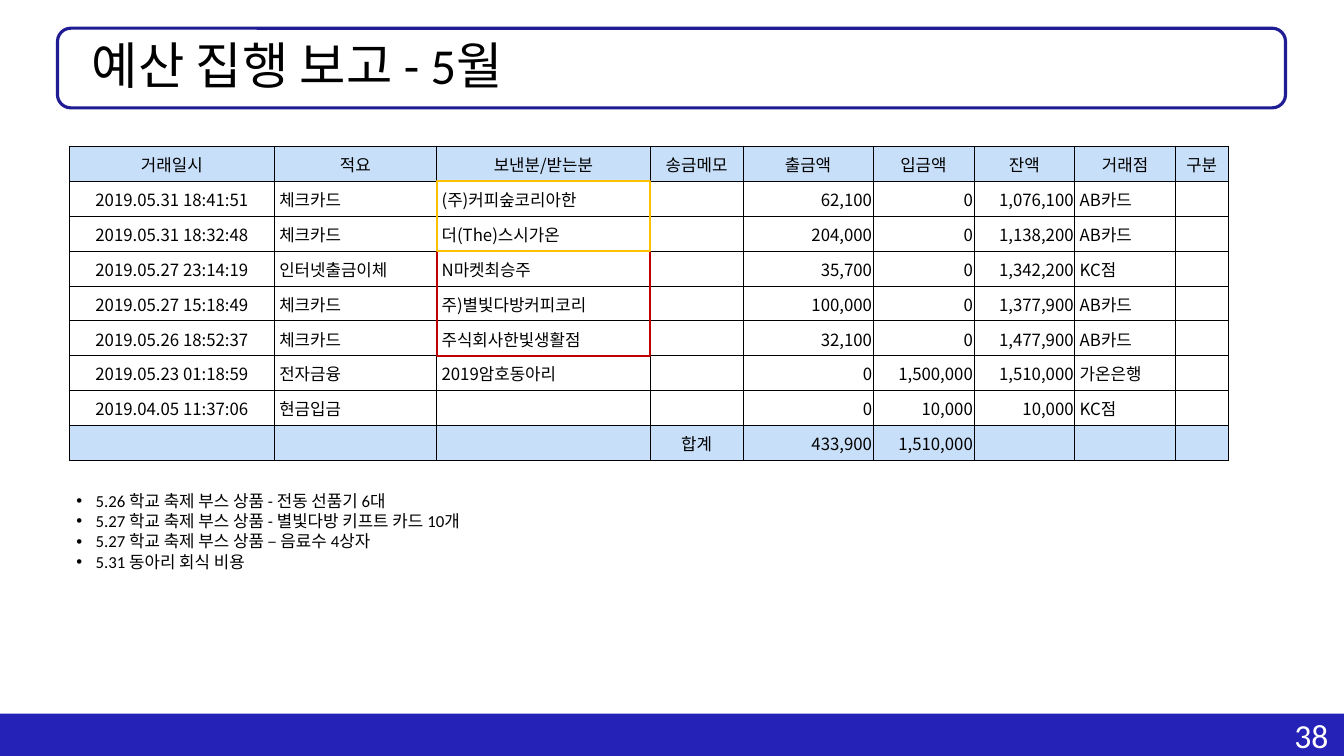
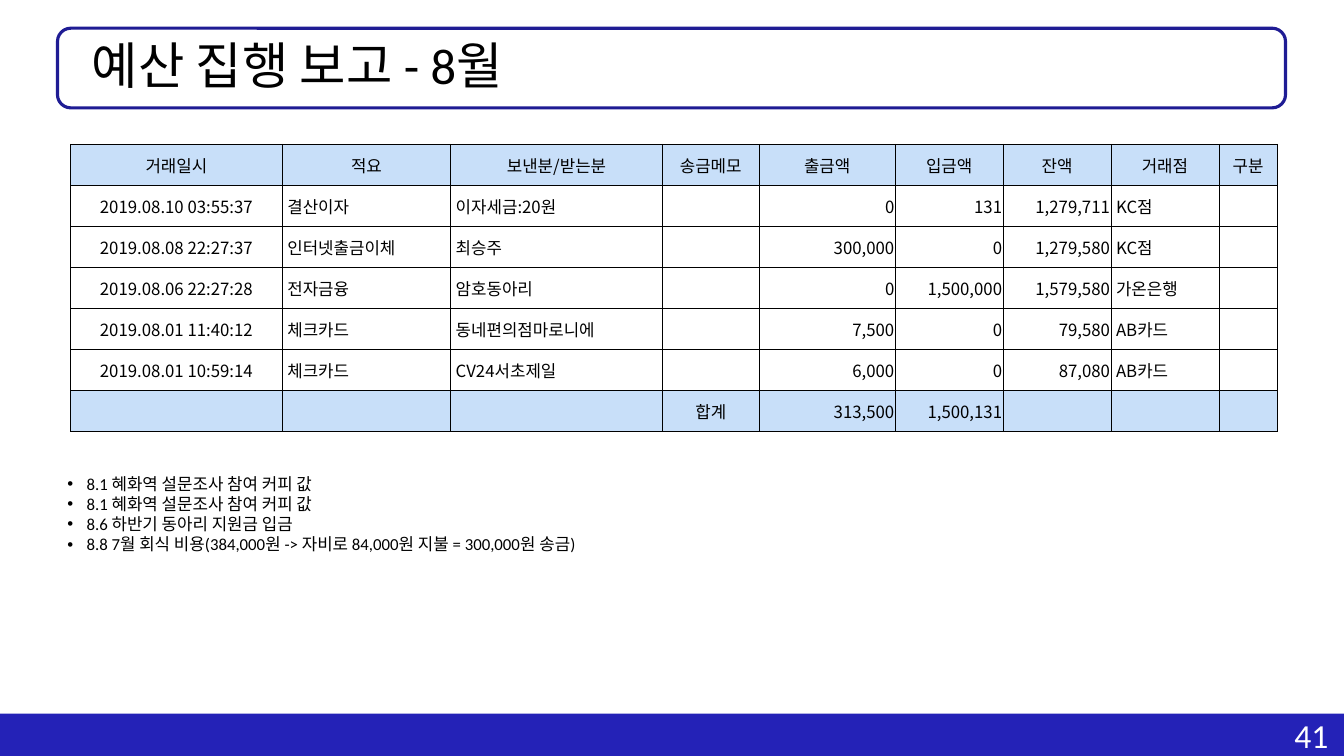
from dataclasses import dataclass
from typing import NamedTuple

from lxml.etree import SubElement
from pptx import Presentation
from pptx.dml.color import RGBColor
from pptx.enum.shapes import MSO_SHAPE
from pptx.enum.text import MSO_ANCHOR, MSO_AUTO_SIZE, PP_ALIGN
from pptx.oxml.ns import qn
from pptx.util import Inches, Pt


# Theme
@dataclass(frozen=True)
class Theme:
    band: RGBColor = RGBColor(0x24, 0x22, 0xB7)
    frame: RGBColor = RGBColor(0x1F, 0x1C, 0x94)
    header: RGBColor = RGBColor(0xC8, 0xDF, 0xF9)
    red: RGBColor = RGBColor(0xC0, 0x00, 0x00)
    amber: RGBColor = RGBColor(0xFF, 0xC0, 0x00)
    black: RGBColor = RGBColor(0x00, 0x00, 0x00)
    white: RGBColor = RGBColor(0xFF, 0xFF, 0xFF)
    font: str = "Calibri"
    table_font: str = "Noto Sans CJK KR"
    title_size: float = 36
    number_size: float = 24
    body_size: float = 12
    frame_line: float = 2.25
    mark_line: float = 1.5
    cell_line: float = 0.5


THEME = Theme()


class Box(NamedTuple):
    left: float
    top: float
    width: float
    height: float

    def emu(self) -> tuple:
        return tuple(Inches(v) for v in self)


class Mark(NamedTuple):
    first_row: int
    last_row: int
    color: RGBColor


class Entry(NamedTuple):
    time: str
    kind: str
    party: str
    paid_out: str
    paid_in: str
    balance: str
    branch: str

    def cells(self) -> list[str]:
        return [self.time, self.kind, self.party, "", self.paid_out,
                self.paid_in, self.balance, self.branch, ""]


@dataclass(frozen=True)
class Report:
    month: int
    number: int
    left: float
    top: float
    col_widths: tuple[float, ...]
    row_height: float
    entries: tuple[Entry, ...]
    totals: tuple[str, str]
    bullet_box: Box
    bullets: tuple[str, ...]
    marks: tuple[Mark, ...] = ()


HEADERS = ["거래일시", "적요", "보낸분/받는분", "송금메모", "출금액",
           "입금액", "잔액", "거래점", "구분"]
LEFT, CENTER, RIGHT = PP_ALIGN.LEFT, PP_ALIGN.CENTER, PP_ALIGN.RIGHT
COL_ALIGN = [CENTER, LEFT, LEFT, CENTER, RIGHT, RIGHT, RIGHT, LEFT, CENTER]
PARTY_COL = 2

# Content
REPORTS = (
    Report(
        month=5, number=38, left=0.69, top=1.45,
        col_widths=(2.03, 1.61, 2.12, 0.92, 1.29, 1, 1, 1, 0.52),
        row_height=3.12 / 9,
        entries=(
            Entry("2019.05.31 18:41:51", "체크카드", "(주)커피숲코리아한",
                  "62,100", "0", "1,076,100", "AB카드"),
            Entry("2019.05.31 18:32:48", "체크카드", "더(The)스시가온",
                  "204,000", "0", "1,138,200", "AB카드"),
            Entry("2019.05.27 23:14:19", "인터넷출금이체", "N마켓최승주",
                  "35,700", "0", "1,342,200", "KC점"),
            Entry("2019.05.27 15:18:49", "체크카드", "주)별빛다방커피코리",
                  "100,000", "0", "1,377,900", "AB카드"),
            Entry("2019.05.26 18:52:37", "체크카드", "주식회사한빛생활점",
                  "32,100", "0", "1,477,900", "AB카드"),
            Entry("2019.05.23 01:18:59", "전자금융", "2019암호동아리",
                  "0", "1,500,000", "1,510,000", "가온은행"),
            Entry("2019.04.05 11:37:06", "현금입금", "",
                  "0", "10,000", "10,000", "KC점"),
        ),
        totals=("433,900", "1,510,000"),
        bullet_box=Box(0.66, 4.82, 4.87, 0.91),
        bullets=("5.26 학교 축제 부스 상품 - 전동 선품기 6대",
                 "5.27 학교 축제 부스 상품 - 별빛다방 키프트 카드 10개",
                 "5.27 학교 축제 부스 상품 – 음료수 4상자",
                 "5.31 동아리 회식 비용"),
        marks=(Mark(3, 5, THEME.red), Mark(1, 2, THEME.amber)),
    ),
    Report(
        month=8, number=41, left=0.7, top=1.43,
        col_widths=(2.1, 1.67, 2.1, 0.96, 1.35, 1.07, 1.07, 1.07, 0.58),
        row_height=2.85 / 7,
        entries=(
            Entry("2019.08.10 03:55:37", "결산이자", "이자세금:20원",
                  "0", "131", "1,279,711", "KC점"),
            Entry("2019.08.08 22:27:37", "인터넷출금이체", "최승주",
                  "300,000", "0", "1,279,580", "KC점"),
            Entry("2019.08.06 22:27:28", "전자금융", "암호동아리",
                  "0", "1,500,000", "1,579,580", "가온은행"),
            Entry("2019.08.01 11:40:12", "체크카드", "동네편의점마로니에",
                  "7,500", "0", "79,580", "AB카드"),
            Entry("2019.08.01 10:59:14", "체크카드", "CV24서초제일",
                  "6,000", "0", "87,080", "AB카드"),
        ),
        totals=("313,500", "1,500,131"),
        bullet_box=Box(0.57, 4.65, 5.74, 0.91),
        bullets=("8.1 혜화역 설문조사 참여 커피 값",
                 "8.1 혜화역 설문조사 참여 커피 값",
                 "8.6 하반기 동아리 지원금 입금",
                 "8.8 7월 회식 비용(384,000원 -> 자비로 84,000원 지불 = 300,000원 송금)"),
    ),
)


# Drawing helpers
def set_font(p, size: float, color: RGBColor = THEME.black, name: str = THEME.font) -> None:
    p.font.size, p.font.name = Pt(size), name
    p.font.color.rgb = color


def add_outline(slide, shape: MSO_SHAPE, box: Box, color: RGBColor, width: float) -> None:
    sp = slide.shapes.add_shape(shape, *box.emu())
    sp.shadow.inherit = False
    sp.fill.background()
    sp.line.color.rgb, sp.line.width = color, Pt(width)


def add_frame(slide, report: Report) -> None:
    """Bottom band, page number, title frame and title."""
    band = slide.shapes.add_shape(MSO_SHAPE.RECTANGLE, *Box(0, 7.08, 13.33, 0.42).emu())
    band.shadow.inherit = False
    band.fill.solid()
    band.fill.fore_color.rgb = THEME.band
    band.line.fill.background()

    tf = slide.shapes.add_textbox(*Box(12.74, 7.04, 0.6, 0.5).emu()).text_frame
    tf.word_wrap = False
    tf.text = str(report.number)
    set_font(tf.paragraphs[0], THEME.number_size, THEME.white)

    add_outline(slide, MSO_SHAPE.ROUNDED_RECTANGLE, Box(0.57, 0.28, 12.18, 0.79),
                THEME.frame, THEME.frame_line)

    title = slide.shapes.title
    title.left, title.top, title.width, title.height = Box(0.81, 0.28, 11.5, 0.8).emu()
    tf = title.text_frame
    tf.auto_size, tf.vertical_anchor = MSO_AUTO_SIZE.NONE, MSO_ANCHOR.MIDDLE
    tf.text = f"예산 집행 보고 - {report.month}월"
    p = tf.paragraphs[0]
    p.alignment, p.line_spacing = LEFT, 0.9
    set_font(p, THEME.title_size)


def add_borders(cell) -> None:
    tc_pr = cell._tc.get_or_add_tcPr()
    for side in ("a:lnL", "a:lnR", "a:lnT", "a:lnB"):
        ln = SubElement(tc_pr, qn(side), w=str(Pt(THEME.cell_line)))
        fill = SubElement(ln, qn("a:solidFill"))
        SubElement(fill, qn("a:srgbClr"), val=str(THEME.black))


def fill_cell(cell, text: str, align: PP_ALIGN, shaded: bool) -> None:
    add_borders(cell)
    if shaded:
        cell.fill.solid()
        cell.fill.fore_color.rgb = THEME.header
    else:
        cell.fill.background()
    cell.margin_left = Inches(0.05 if align == LEFT else 0.01)
    cell.margin_right = cell.margin_top = Inches(0.01)
    cell.margin_bottom = 0
    cell.vertical_anchor = MSO_ANCHOR.MIDDLE
    cell.text = text
    p = cell.text_frame.paragraphs[0]
    p.alignment = align
    set_font(p, THEME.body_size, name=THEME.table_font)


def add_ledger(slide, report: Report) -> None:
    total_row = ["", "", "", "합계", *report.totals, "", "", ""]
    rows = [HEADERS, *(e.cells() for e in report.entries), total_row]
    box = Box(report.left, report.top, sum(report.col_widths), report.row_height * len(rows))
    table = slide.shapes.add_table(len(rows), len(HEADERS), *box.emu()).table
    table.first_row = table.horz_banding = False
    for column, width in zip(table.columns, report.col_widths):
        column.width = Inches(width)
    for i, row in enumerate(rows):
        table.rows[i].height = Inches(report.row_height)
        shaded = i in (0, len(rows) - 1)
        for j, text in enumerate(row):
            fill_cell(table.cell(i, j), text, CENTER if i == 0 else COL_ALIGN[j], shaded)


def add_marks(slide, report: Report) -> None:
    left = report.left + sum(report.col_widths[:PARTY_COL])
    for mark in report.marks:
        box = Box(left, report.top + mark.first_row * report.row_height,
                  report.col_widths[PARTY_COL],
                  (mark.last_row - mark.first_row + 1) * report.row_height)
        add_outline(slide, MSO_SHAPE.RECTANGLE, box, mark.color, THEME.mark_line)


def add_bullets(slide, report: Report) -> None:
    tf = slide.shapes.add_textbox(*report.bullet_box.emu()).text_frame
    tf.word_wrap = True
    tf.auto_size = MSO_AUTO_SIZE.SHAPE_TO_FIT_TEXT
    for i, text in enumerate(report.bullets):
        p = tf.paragraphs[0] if i == 0 else tf.add_paragraph()
        p.text = text
        p_pr = p._p.get_or_add_pPr()
        p_pr.set("marL", str(Inches(0.19)))
        p_pr.set("indent", str(-Inches(0.19)))
        SubElement(p_pr, qn("a:buFont"), typeface="Arial")
        SubElement(p_pr, qn("a:buChar"), char="•")
        set_font(p, THEME.body_size)


def main() -> None:
    prs = Presentation()
    prs.slide_width, prs.slide_height = Inches(13.33), Inches(7.5)
    title_only = prs.slide_layouts[5]
    for report in REPORTS:
        slide = prs.slides.add_slide(title_only)
        add_frame(slide, report)
        add_ledger(slide, report)
        add_marks(slide, report)
        add_bullets(slide, report)
    prs.save("out.pptx")


if __name__ == "__main__":
    main()
